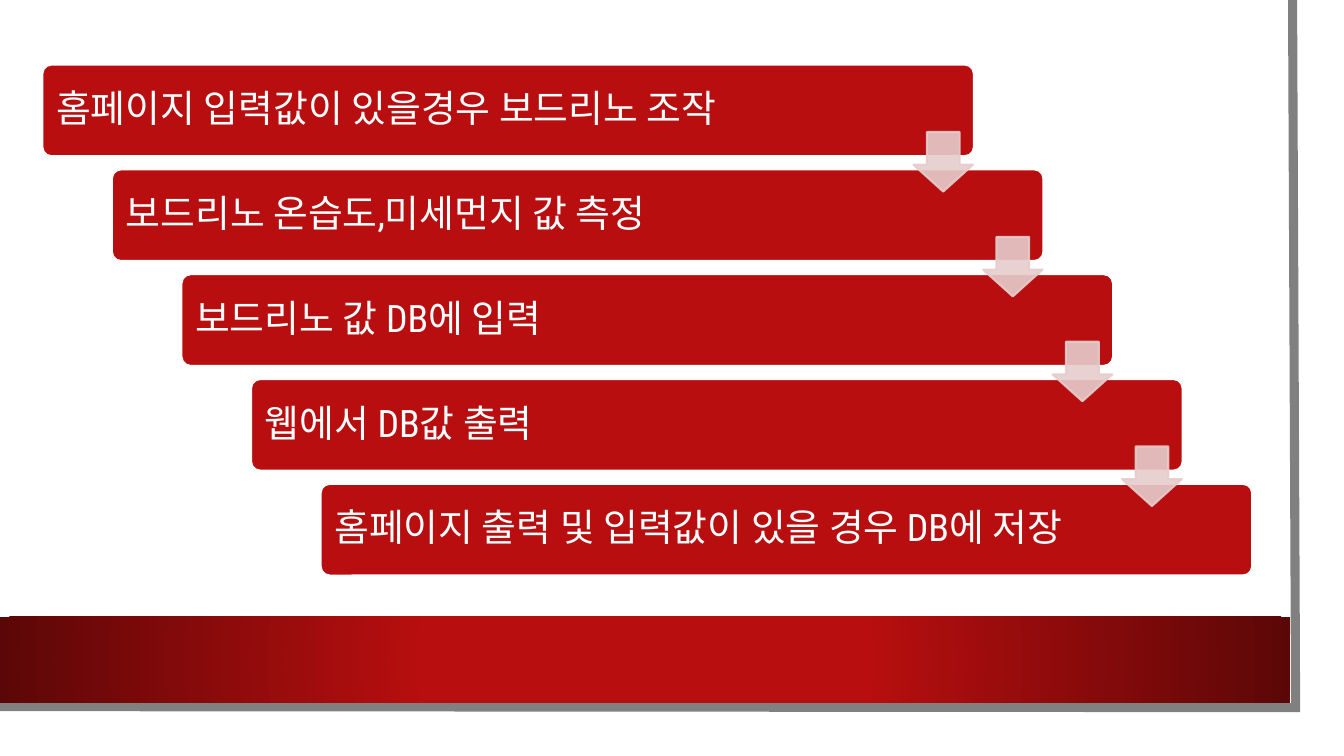
"""Build a slide with a descending staircase of process steps."""
from dataclasses import dataclass

from lxml.etree import SubElement
from pptx import Presentation
from pptx.dml.color import RGBColor
from pptx.enum.shapes import MSO_SHAPE as Preset
from pptx.enum.text import MSO_ANCHOR as Anchor, PP_ALIGN as Align
from pptx.oxml.ns import qn
from pptx.util import Inches, Pt

COLORS = {
    "white": "FFFFFF",
    "red": "B80E0F",
    "dark_red": "5C0707",
    "gray": "808080",
    "pink": "E6CCCC",
}
STEPS = [
    "홈페이지 입력값이 있을경우 보드리노 조작",
    "보드리노 온습도,미세먼지 값 측정",
    "보드리노 값 DB에 입력",
    "웹에서 DB값 출력",
    "홈페이지 출력 및 입력값이 있을 경우 DB에 저장",
]
STEP_RIGHT, STEP_DOWN = 0.69, 1.04


@dataclass(frozen=True)
class Block:
    preset: Preset
    left: float
    top: float
    width: float
    height: float
    fill: str
    line: str | None = None
    adjustments: tuple[float, ...] = ()
    opacity: int = 100

    def moved(self, index: int) -> tuple[float, float]:
        return self.left + index * STEP_RIGHT, self.top + index * STEP_DOWN


PAPER = Block(Preset.RECTANGLE, 0, 0, 13.1, 7.27, "white")
BAND = Block(Preset.RECTANGLE, 0, 6.12, 12.8, 0.85, "red")
STEP = Block(Preset.ROUNDED_RECTANGLE, 0.42, 0.64, 9.24, 0.91, "red", "white", (0.1,))
ARROW = Block(Preset.DOWN_ARROW, 9.06, 1.31, 0.59, 0.59, "pink", "pink", (0.55, 0.45), 90)


def color(name: str) -> RGBColor:
    return RGBColor.from_string(COLORS[name])


def draw_block(page, block: Block, index: int = 0):
    left, top = block.moved(index)
    shape = page.shapes.add_shape(
        block.preset, Inches(left), Inches(top), Inches(block.width), Inches(block.height)
    )
    shape.shadow.inherit = False
    for number, value in enumerate(block.adjustments):
        shape.adjustments[number] = value
    shape.fill.solid()
    shape.fill.fore_color.rgb = color(block.fill)
    if block.line:
        shape.line.color.rgb = color(block.line)
        shape.line.width = Pt(1.5)
    else:
        shape.line.fill.background()
    if block.opacity < 100:
        for tint in shape.element.spPr.iter(qn("a:srgbClr")):
            SubElement(tint, qn("a:alpha"), val=str(block.opacity * 1000))
    return shape


def write_text(shape, text: str, *, size: float, font: str, tint: str) -> None:
    frame = shape.text_frame
    frame.word_wrap = True
    frame.vertical_anchor = Anchor.MIDDLE
    frame.margin_left = frame.margin_right = Inches(0.11)
    frame.margin_top = frame.margin_bottom = Inches(0.11)
    para = frame.paragraphs[0]
    para.alignment = Align.LEFT
    para.line_spacing = 0.9
    span = para.add_run()
    span.text = text
    span.font.size = Pt(size)
    span.font.name = font
    span.font.color.rgb = color(tint)


def draw_edge(page) -> None:
    builder = page.shapes.build_freeform(Inches(12.82), Inches(0))
    corners = [(12.85, 7.02), (-0.03, 7.01)]
    builder.add_line_segments([(Inches(x), Inches(y)) for x, y in corners], close=False)
    edge = builder.convert_to_shape()
    edge.shadow.inherit = False
    edge.fill.background()
    edge.line.color.rgb = color("gray")
    edge.line.width = Pt(6.5)
    SubElement(edge.element.spPr.find(qn("a:ln")), qn("a:miter"), lim="800000")


def draw_band(page) -> None:
    band = draw_block(page, BAND)
    band.fill.gradient()
    stops = [(0.34, "red"), (1, "dark_red")]
    for stop, (position, name) in zip(band.fill.gradient_stops, stops):
        stop.position = position
        stop.color.rgb = color(name)
    gradient = band.element.spPr.find(qn("a:gradFill"))
    gradient.remove(gradient.find(qn("a:lin")))
    circle = SubElement(gradient, qn("a:path"), path="circle")
    SubElement(circle, qn("a:fillToRect"), l="50000", t="50000", r="50000", b="50000")


def main() -> None:
    deck = Presentation()
    deck.slide_width, deck.slide_height = Inches(13.33), Inches(7.5)
    page = deck.slides.add_slide(deck.slide_layouts[6])
    draw_block(page, PAPER)
    draw_edge(page)
    draw_band(page)
    for index, text in enumerate(STEPS):
        box = draw_block(page, STEP, index)
        write_text(box, text, size=27, font="Roboto Condensed", tint="white")
    for index in range(len(STEPS) - 1):
        draw_block(page, ARROW, index)
    deck.save("out.pptx")


if __name__ == "__main__":
    main()
